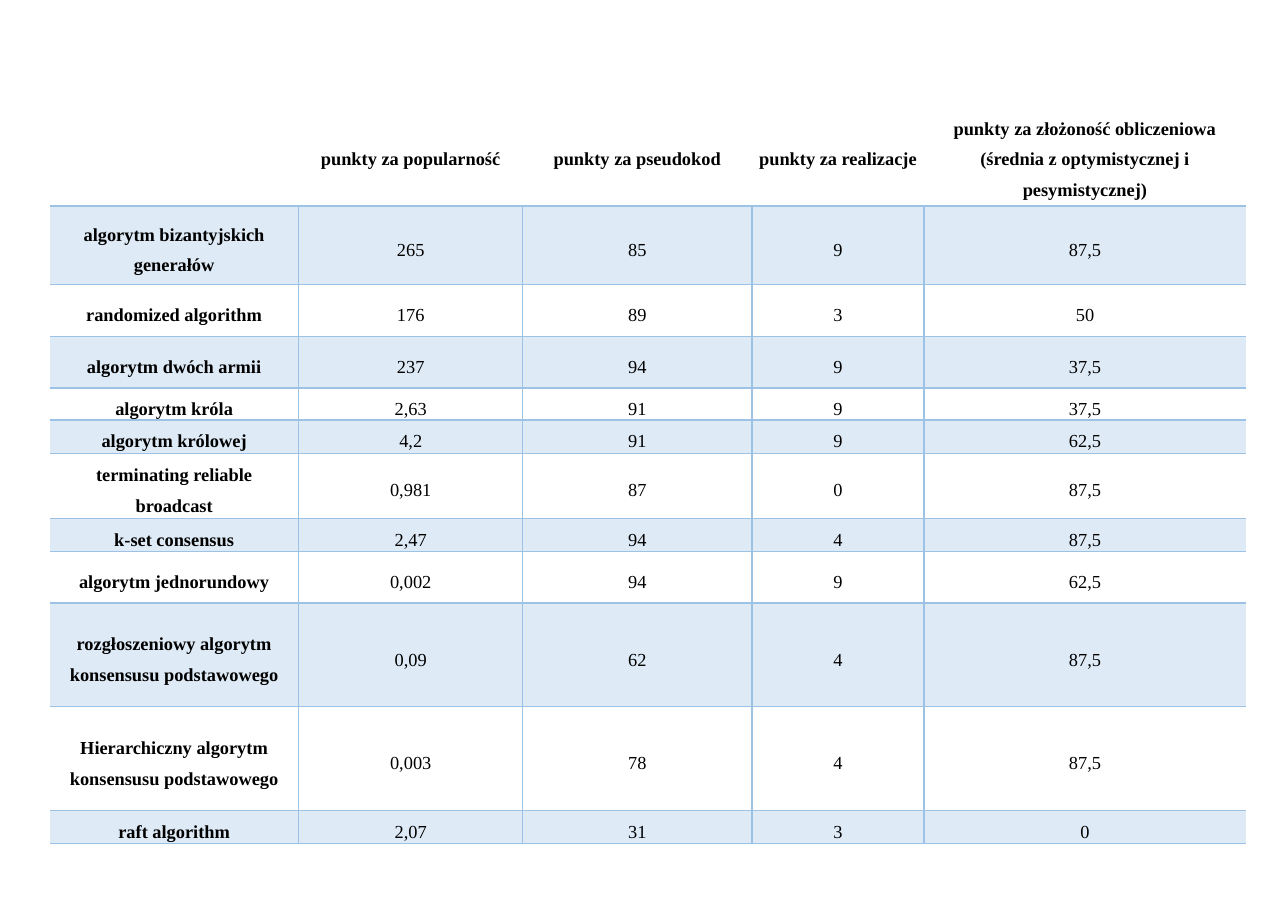
from dataclasses import dataclass

from lxml import etree
from pptx import Presentation
from pptx.dml.color import RGBColor
from pptx.enum.text import MSO_ANCHOR, PP_ALIGN
from pptx.oxml.ns import qn
from pptx.util import Emu, Pt

MIDDLE = MSO_ANCHOR.MIDDLE
CENTER = PP_ALIGN.CENTER
PX = 9144  # 100 px to the inch
COLORS = {"line": "9CC2E5", "band": "DEEAF6", "plain": "FFFFFF", "text": "000000"}
FONT = {"name": "Times New Roman", "size": Pt(12)}
INSETS = {
    "margin_left": Emu(5 * PX),
    "margin_right": Emu(5 * PX),
    "margin_top": 0,
    "margin_bottom": 0,
    "vertical_anchor": MIDDLE,
}
FLAGS = {"first_row": False, "horz_banding": False}
THIN, THICK = Pt(1), Pt(1.5)


@dataclass
class Row:
    height: int
    texts: tuple[str, ...]


WIDTHS = (226, 203, 208, 156, 292)
ROWS = (
    Row(94, ("", "punkty za popularność", "punkty za pseudokod", "punkty za realizacje",
             "punkty za złożoność obliczeniowa (średnia z optymistycznej i pesymistycznej)")),
    Row(71, ("algorytm bizantyjskich generałów", "265", "85", "9", "87,5")),
    Row(47, ("randomized algorithm", "176", "89", "3", "50")),
    Row(47, ("algorytm dwóch armii", "237", "94", "9", "37,5")),
    Row(29, ("algorytm króla", "2,63", "91", "9", "37,5")),
    Row(30, ("algorytm królowej", "4,2", "91", "9", "62,5")),
    Row(59, ("terminating reliable broadcast", "0,981", "87", "0", "87,5")),
    Row(30, ("k-set consensus", "2,47", "94", "4", "87,5")),
    Row(47, ("algorytm jednorundowy", "0,002", "94", "9", "62,5")),
    Row(94, ("rozgłoszeniowy algorytm konsensusu podstawowego", "0,09", "62", "4", "87,5")),
    Row(94, ("Hierarchiczny algorytm konsensusu podstawowego", "0,003", "78", "4", "87,5")),
    Row(30, ("raft algorithm", "2,07", "31", "3", "0")),
)


def sides(r: int, c: int) -> dict[str, int]:
    """Border widths of a cell; zero means no line."""
    inner = THIN if r else 0
    return {
        "a:lnL": inner if c else 0,
        "a:lnR": inner if c < len(WIDTHS) - 1 else 0,
        "a:lnT": (0, THICK)[r] if r < 2 else THIN,
        "a:lnB": THIN if r else THICK,
    }


def border(cell, widths: dict[str, int]) -> None:
    props = cell._tc.get_or_add_tcPr()
    for tag, width in widths.items():
        line = etree.SubElement(props, qn(tag), w=str(int(width)))
        if width:
            fill = etree.SubElement(line, qn("a:solidFill"))
            etree.SubElement(fill, qn("a:srgbClr"), val=COLORS["line"])
        else:
            etree.SubElement(line, qn("a:noFill"))


def write(cell, text: str, bold: bool) -> None:
    for name, value in INSETS.items():
        setattr(cell, name, value)
    cell.text = text
    para = cell.text_frame.paragraphs[0]
    para.alignment = CENTER
    para.line_spacing = 1.5
    for name, value in FONT.items():
        setattr(para.font, name, value)
    para.font.bold = bold
    para.font.color.rgb = RGBColor.from_string(COLORS["text"])


def draw(slide) -> None:
    height = sum(row.height for row in ROWS)
    box = (45, 93, sum(WIDTHS), height)
    frame = slide.shapes.add_table(len(ROWS), len(WIDTHS), *(Emu(n * PX) for n in box))
    table = frame.table
    for name, value in FLAGS.items():
        setattr(table, name, value)
    for column, width in zip(table.columns, WIDTHS):
        column.width = Emu(width * PX)

    # Cells: bold header and names, every other row tinted
    for r, row in enumerate(ROWS):
        table.rows[r].height = Emu(row.height * PX)
        tint = COLORS["band" if r % 2 else "plain"]
        for c, text in enumerate(row.texts):
            cell = table.cell(r, c)
            write(cell, text, bold=r == 0 or c == 0)
            border(cell, sides(r, c))
            cell.fill.solid()
            cell.fill.fore_color.rgb = RGBColor.from_string(tint)


def main() -> None:
    deck = Presentation()
    deck.slide_width, deck.slide_height = Emu(1168 * PX), Emu(826 * PX)
    draw(deck.slides.add_slide(deck.slide_layouts[6]))
    deck.save("out.pptx")


if __name__ == "__main__":
    main()
